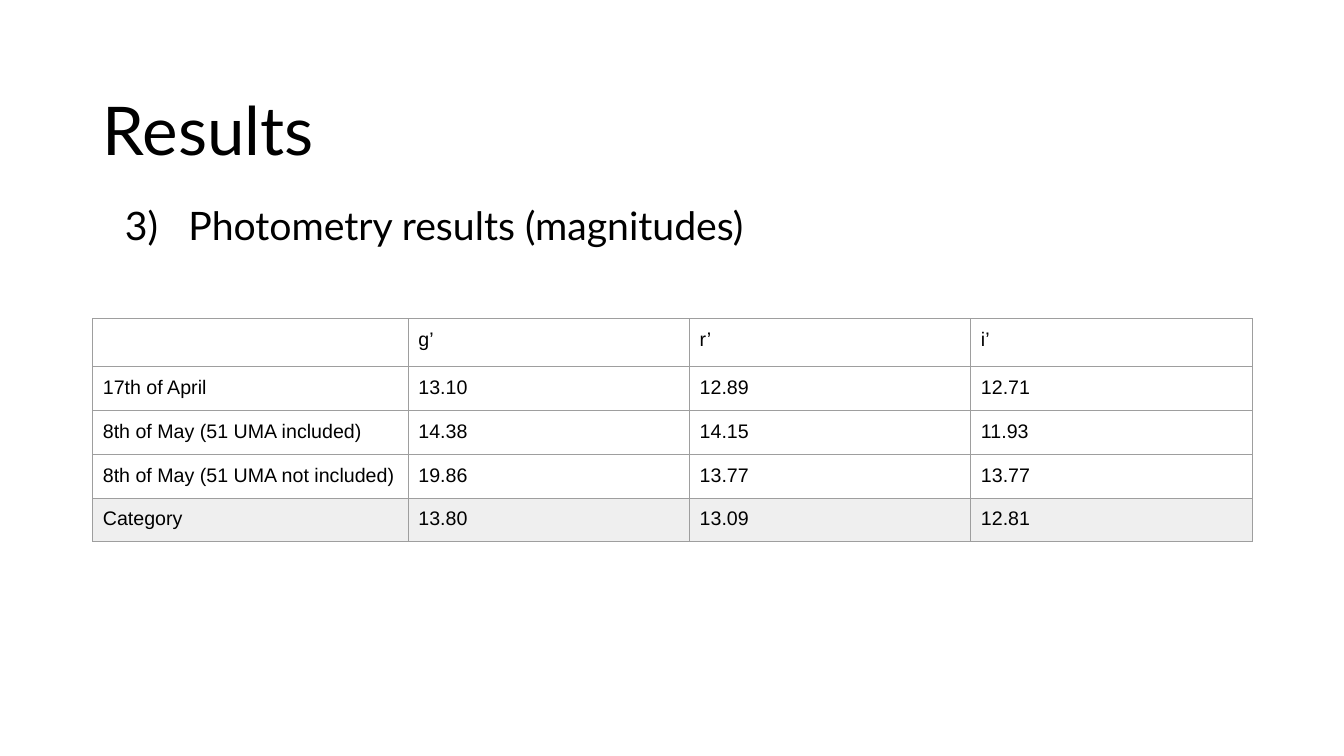
from lxml import etree
from pptx import Presentation
from pptx.dml.color import RGBColor
from pptx.enum.text import MSO_ANCHOR
from pptx.oxml.ns import qn
from pptx.util import Inches, Pt

MIDDLE, TOP = MSO_ANCHOR.MIDDLE, MSO_ANCHOR.TOP
BLACK = RGBColor(0x00, 0x00, 0x00)
LIGHT_GRAY = RGBColor(0xEF, 0xEF, 0xEF)
BORDER_GRAY = RGBColor(0x9E, 0x9E, 0x9E)

LEFT, RIGHT = 0.92, 12.42
LIST_LEFT = 1.14
NUMBER_INDENT = Inches(0.63)
LABEL_WIDTH, VALUE_WIDTH = 3.13, 2.79
HEADER_HEIGHT, ROW_HEIGHT = 0.48, 0.42
CELL_MARGIN = Inches(0.1)

MAGNITUDES = [
    ("", "g’", "r’", "i’"),
    ("17th of April", "13.10", "12.89", "12.71"),
    ("8th of May (51 UMA included)", "14.38", "14.15", "11.93"),
    ("8th of May (51 UMA not included)", "19.86", "13.77", "13.77"),
    ("Category", "13.80", "13.09", "12.81"),
]

presentation = Presentation()
presentation.slide_width = Inches(13.33)
presentation.slide_height = Inches(7.5)
slide = presentation.slides.add_slide(presentation.slide_layouts[6])


def add_text(text, left, top, height, size, anchor):
    """Add a text box that reaches to the right margin; return its paragraph."""
    box = slide.shapes.add_textbox(
        Inches(left), Inches(top), Inches(RIGHT - left), Inches(height))
    text_frame = box.text_frame
    text_frame.word_wrap = True
    text_frame.vertical_anchor = anchor
    text_frame.text = text
    paragraph = text_frame.paragraphs[0]
    paragraph.line_spacing = 0.9
    font = paragraph.runs[0].font
    font.name, font.size = "Lato", Pt(size)
    font.color.rgb = BLACK
    return paragraph


def add_borders(cell):
    """Draw the four thin borders of a table cell."""
    properties = cell._tc.get_or_add_tcPr()
    for position, side in enumerate(("a:lnL", "a:lnR", "a:lnT", "a:lnB")):
        line = etree.Element(qn(side), w=str(Pt(0.75)))
        fill = etree.SubElement(line, qn("a:solidFill"))
        etree.SubElement(fill, qn("a:srgbClr"), val=str(BORDER_GRAY))
        properties.insert(position, line)


# Title
add_text("Results", LEFT, 0.66, 1.33, 48, MIDDLE)

# Numbered heading, third in its list
heading = add_text("Photometry results (magnitudes)", LIST_LEFT, 2, 4.76, 28, TOP)
heading_properties = heading._p.get_or_add_pPr()
heading_properties.set("marL", str(NUMBER_INDENT))
heading_properties.set("indent", str(-NUMBER_INDENT))
etree.SubElement(heading_properties, qn("a:buAutoNum"),
                 type="arabicParenR", startAt="3")

# Magnitude table
row_count, column_count = len(MAGNITUDES), len(MAGNITUDES[0])
table_width = LABEL_WIDTH + VALUE_WIDTH * (column_count - 1)
table_height = HEADER_HEIGHT + ROW_HEIGHT * (row_count - 1)
table = slide.shapes.add_table(
    row_count, column_count, Inches(LEFT), Inches(3.16),
    Inches(table_width), Inches(table_height)).table
table.first_row = False
table.horz_banding = False

for index, column in enumerate(table.columns):
    column.width = Inches(VALUE_WIDTH if index else LABEL_WIDTH)
for index, row in enumerate(table.rows):
    row.height = Inches(ROW_HEIGHT if index else HEADER_HEIGHT)

for row_index, values in enumerate(MAGNITUDES):
    for column_index, value in enumerate(values):
        cell = table.cell(row_index, column_index)
        if row_index == row_count - 1:
            cell.fill.solid()
            cell.fill.fore_color.rgb = LIGHT_GRAY
        else:
            cell.fill.background()
        add_borders(cell)
        if value:
            cell.margin_left = cell.margin_right = CELL_MARGIN
            cell.margin_top = cell.margin_bottom = CELL_MARGIN
            cell.text_frame.text = value
            font = cell.text_frame.paragraphs[0].runs[0].font
            font.name, font.size = "Arial", Pt(14)
            font.color.rgb = BLACK

presentation.save("out.pptx")
